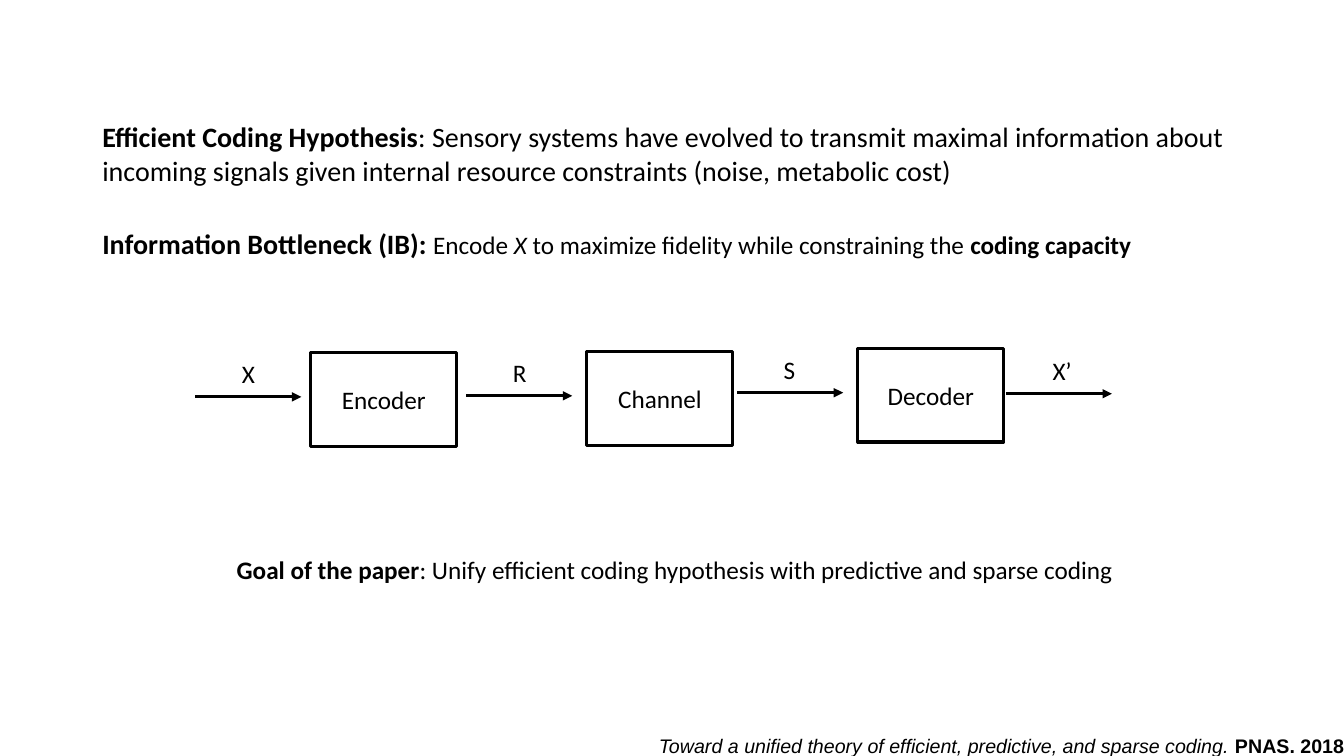
from lxml import etree
from pptx import Presentation, util as u
from pptx.dml.color import RGBColor
from pptx.enum import shapes, text
from pptx.oxml.ns import qn

BLACK = "000000"
STROKE = u.Pt(2.25)


def px(n):
    return u.Emu(n * 9525)  # 96 px to the inch


def write(frame, runs, wrap=True, fit=text.MSO_AUTO_SIZE.SHAPE_TO_FIT_TEXT):
    """Fill a text frame with runs of (words, format values)."""
    frame.word_wrap = wrap
    frame.auto_size = fit
    for words, values in runs:
        run = frame.paragraphs[0].add_run()
        run.text = words
        style = {"name": "Calibri", "size": 18, "bold": False, "italic": False, **values}
        style["size"] = u.Pt(style["size"])
        for key, value in style.items():
            setattr(run.font, key, value)
        run.font.color.rgb = RGBColor.from_string(BLACK)


deck = Presentation()
deck.slide_width, deck.slide_height = px(1280), px(720)
slide = deck.slides.add_slide(deck.slide_layouts[6])

# Statements and citation: left, top, width, height, wrap, runs
statements = [
    (88, 109, 1134, 74, True, [
        ("Efficient Coding Hypothesis", {"size": 20, "bold": True}),
        (": Sensory systems have evolved to transmit maximal information about incoming "
         "signals given internal resource constraints (noise, metabolic cost)", {"size": 20})]),
    (88, 211, 1016, 42, False, [
        ("Information Bottleneck (IB): ", {"size": 20, "bold": True}),
        ("Encode ", {}),
        ("X", {"italic": True}),
        (" to maximize fidelity while constraining the ", {}),
        ("coding capacity", {"bold": True})]),
    (216, 523, 864, 38, False, [
        ("Goal of the paper", {"bold": True}),
        (": Unify efficient coding hypothesis with predictive and sparse coding", {})]),
    (618, 694, 683, 33, True, [
        ("Toward a unified theory of efficient, predictive, and sparse coding. ",
         {"name": "Arial", "size": 14, "italic": True}),
        ("PNAS. 2018", {"name": "Arial", "size": 14, "bold": True})]),
]
for left, top, width, height, wrap, runs in statements:
    statement = slide.shapes.add_textbox(px(left), px(top), px(width), px(height))
    write(statement.text_frame, runs, wrap)

# Signals: name, label width, arrow start, arrow height on the slide
signals = [("X", 32, 186, 378), ("R", 33, 444, 377), ("S", 31, 702, 374), ("X’", 39, 958, 375)]
for name, width, start, y in signals:
    arrow = slide.shapes.add_connector(
        shapes.MSO_CONNECTOR.STRAIGHT, px(start), px(y), px(start + 101), px(y))
    arrow.line.color.rgb = RGBColor.from_string(BLACK)
    arrow.line.width = STROKE
    etree.SubElement(arrow.line._get_or_add_ln(), qn("a:tailEnd"), type="triangle")
    etree.SubElement(arrow._element.spPr, qn("a:effectLst"))
    label = slide.shapes.add_textbox(px(start + 35), px(y - 41), px(width), px(38))
    write(label.text_frame, [(name, {})], wrap=False)

# Stages of the channel
for name, left, top in [("Encoder", 296, 336), ("Channel", 559, 335), ("Decoder", 817, 332)]:
    stage = slide.shapes.add_shape(
        shapes.MSO_SHAPE.RECTANGLE, px(left), px(top), px(139), px(89))
    stage.shadow.inherit = False
    stage.fill.background()
    stage.line.color.rgb = RGBColor.from_string(BLACK)
    stage.line.width = STROKE
    write(stage.text_frame, [(name, {})], fit=text.MSO_AUTO_SIZE.NONE)
    stage.text_frame.vertical_anchor = text.MSO_ANCHOR.MIDDLE
    stage.text_frame.paragraphs[0].alignment = text.PP_ALIGN.CENTER

deck.save("out.pptx")
